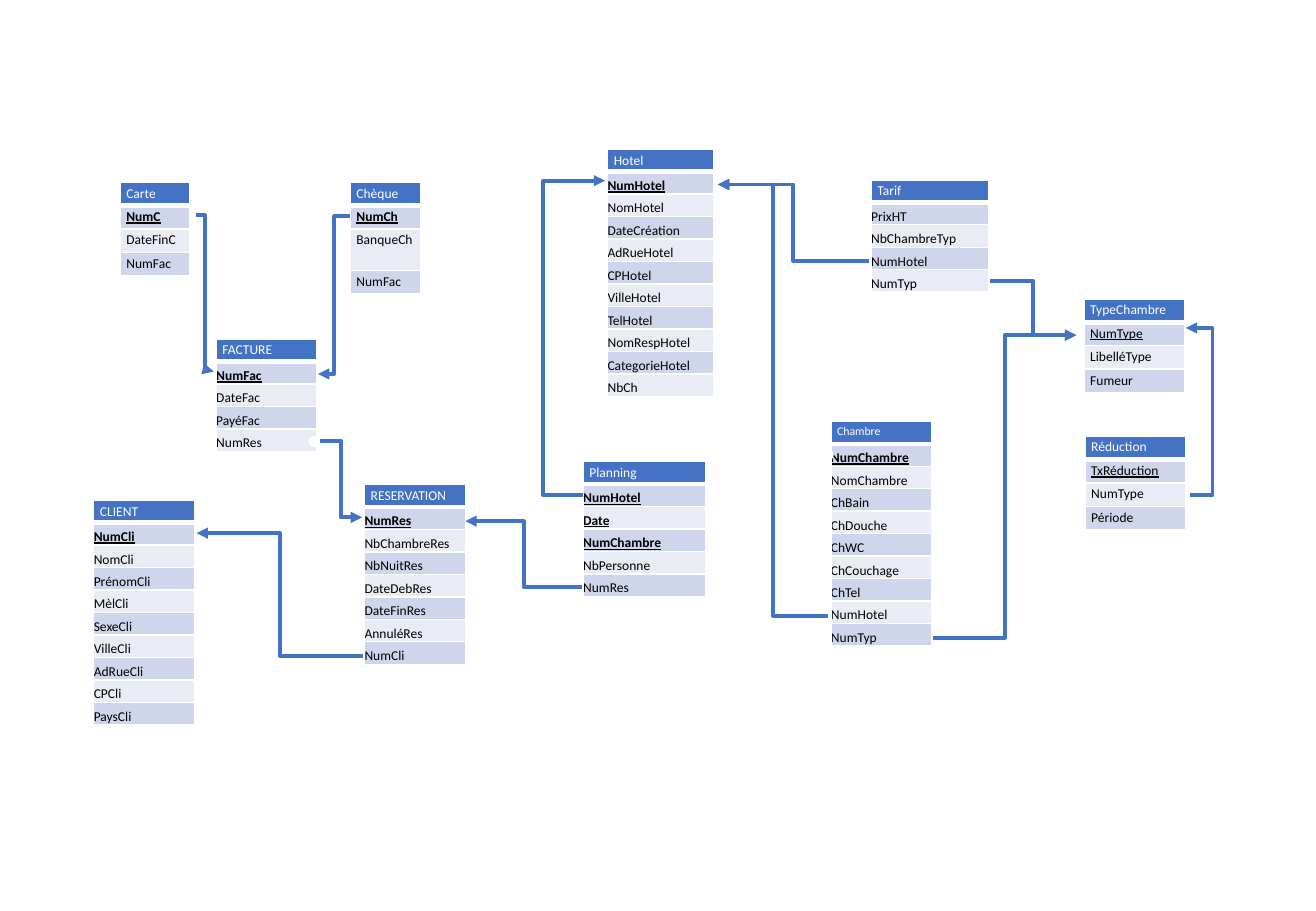
import pptx
import pptx.dml.color
import pptx.enum.shapes
import pptx.enum.text
import pptx.oxml.ns
import pptx.util
from lxml import etree

Cm, Pt, qn = pptx.util.Cm, pptx.util.Pt, pptx.oxml.ns.qn
BLUE, WHITE, BLACK = "4472C4", "FFFFFF", "000000"
BANDS = ["CFD5EA", "E9EBF5"]
TIGHT, TALL = 0.47, 0.87

# title, left, top, width, padded cells, key count, bold keys, fields
TABLES = [
    ("FACTURE", 4.52, 7.09, 2.11, False, 1, True, "NumFac DateFac PayéFac NumRes"),
    ("Chèque", 7.32, 3.81, 1.47, True, 1, True, "NumCh BanqueCh NumFac"),
    ("Carte", 2.51, 3.81, 1.45, True, 1, True, "NumC DateFinC NumFac"),
    ("CLIENT", 1.96, 10.46, 2.11, False, 1, True,
     "NumCli NomCli PrénomCli MèlCli SexeCli VilleCli AdRueCli CPCli PaysCli"),
    ("RESERVATION", 7.62, 10.13, 2.11, False, 1, True,
     "NumRes NbChambreRes NbNuitRes DateDebRes DateFinRes AnnuléRes NumCli"),
    ("Hotel", 12.7, 3.12, 2.21, False, 1, True,
     "NumHotel NomHotel DateCréation AdRueHotel CPHotel VilleHotel TelHotel "
     "NomRespHotel CategorieHotel NbCh"),
    ("Tarif", 18.21, 3.76, 2.46, False, 0, False, "PrixHT NbChambreTyp NumHotel NumTyp"),
    ("TypeChambre", 22.66, 6.25, 2.11, True, 1, False, "NumType LibelléType Fumeur"),
    ("Réduction", 22.68, 9.12, 2.11, True, 1, False, "TxRéduction NumType Période"),
    ("Planning", 12.19, 9.65, 2.57, False, 3, True,
     "NumHotel Date NumChambre NbPersonne NumRes"),
    ("Chambre", 17.37, 8.81, 2.11, False, 1, True,
     "NumChambre NomChambre ChBain ChDouche ChWC ChCouchage ChTel NumHotel NumTyp"),
]

# start x, start y, end x, end y, x of the bend (None: halfway)
LINKS = [
    (4.09, 4.5, 4.47, 7.77, None),
    (7.32, 4.52, 6.65, 7.82, None),
    (6.68, 9.22, 7.57, 10.82, None),
    (12.17, 12.27, 9.73, 10.9, None),
    (12.19, 10.36, 12.65, 3.78, 11.35),
    (7.59, 13.72, 4.11, 11.15, None),
    (17.32, 12.88, 15.01, 3.86, None),
    (18.16, 5.46, 15.01, 3.86, None),
    (24.87, 10.36, 24.79, 6.86, 25.35),
    (20.7, 5.87, 22.5, 7.01, None),
    (19.51, 13.34, 22.5, 7.01, None),
]


def tint(hue):
    """Turn a hex string into a colour."""
    return pptx.dml.color.RGBColor.from_string(hue)


def edge(cell, head):
    """Give a cell white borders, thicker below a header."""
    props = cell._tc.get_or_add_tcPr()
    for side in "LRTB":
        wide = 3 if head and side == "B" else 1
        line = etree.SubElement(props, qn("a:ln" + side), w=str(Pt(wide)))
        fill = etree.SubElement(line, qn("a:solidFill"))
        etree.SubElement(fill, qn("a:srgbClr"), val=WHITE)


deck = pptx.Presentation()
deck.slide_width, deck.slide_height = Cm(27.51), Cm(19.05)
slide = deck.slides.add_slide(deck.slide_layouts[6])

for title, left, top, width, padded, keys, bold, fields in TABLES:
    texts = [title] + fields.split()
    high = 0.49 if padded else TIGHT
    table = slide.shapes.add_table(len(texts), 1, Cm(left), Cm(top), Cm(width),
                                   Cm(high * len(texts))).table
    for row, text in enumerate(texts):
        head, key = row == 0, 0 < row <= keys
        table.rows[row].height = Cm(TALL if text == "BanqueCh" else high)
        cell = table.cell(row, 0)
        edge(cell, head)
        cell.fill.solid()
        cell.fill.fore_color.rgb = tint(BLUE if head else BANDS[(row - 1) % 2])
        inset = head or padded
        cell.margin_left = cell.margin_right = Cm(0.13 if inset else 0)
        cell.margin_top = cell.margin_bottom = Cm(0.06 if inset else 0)
        anchor = pptx.enum.text.MSO_ANCHOR
        cell.vertical_anchor = anchor.TOP if inset else anchor.BOTTOM
        cell.text_frame.text = text
        font = cell.text_frame.paragraphs[0].runs[0].font
        font.name = "Calibri"
        font.size = Pt(7 if text == "Chambre" else 8)
        font.bold, font.underline = key and bold, key
        font.color.rgb = tint(WHITE if head else BLACK)

for left, top in [(6.45, 9.12), (17.2, 9.4)]:
    dot = slide.shapes.add_shape(pptx.enum.shapes.MSO_SHAPE.OVAL,
                                 Cm(left), Cm(top), Cm(0.23), Cm(0.23))
    dot.shadow.inherit = False
    dot.fill.solid()
    dot.fill.fore_color.rgb = tint(WHITE)
    dot.line.fill.background()

for x1, y1, x2, y2, bend in LINKS:
    link = slide.shapes.add_connector(pptx.enum.shapes.MSO_CONNECTOR.ELBOW,
                                      Cm(x1), Cm(y1), Cm(x2), Cm(y2))
    link.line.color.rgb = tint(BLUE)
    link.line.width = Pt(2.25)
    etree.SubElement(link.line._get_or_add_ln(), qn("a:tailEnd"), type="triangle")
    props = link._element.spPr
    etree.SubElement(props, qn("a:effectLst"))
    if bend:
        ratio = round((bend - x1) / (x2 - x1) * 100000)
        guides = props.find(qn("a:prstGeom")).find(qn("a:avLst"))
        etree.SubElement(guides, qn("a:gd"), name="adj1", fmla=f"val {ratio}")

deck.save("out.pptx")
